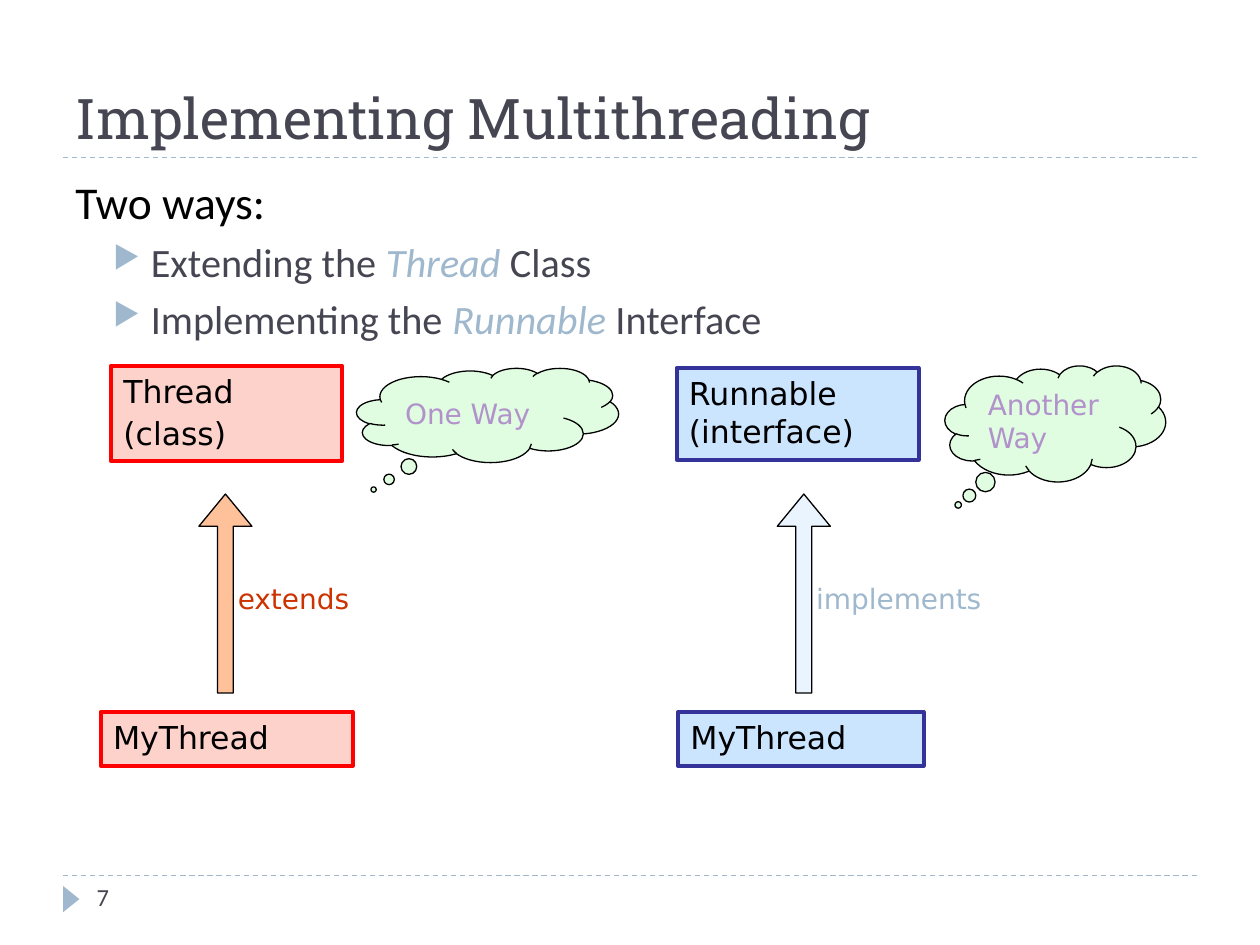
from lxml.etree import SubElement
from pptx import Presentation
from pptx.dml.color import RGBColor
from pptx.enum.dml import MSO_LINE
from pptx.enum.shapes import MSO_CONNECTOR, MSO_SHAPE
from pptx.enum.text import MSO_ANCHOR, PP_ALIGN
from pptx.oxml.ns import qn
from pptx.util import Cm, Pt

BLACK = RGBColor(0x00, 0x00, 0x00)
SLATE = RGBColor(0x46, 0x46, 0x53)
STEEL = RGBColor(0x9F, 0xB8, 0xCD)
RED = RGBColor(0xFF, 0x00, 0x00)
PINK = RGBColor(0xFD, 0xD2, 0xCB)
ORANGE = RGBColor(0xFF, 0x66, 0x00)
RUST = RGBColor(0xCC, 0x33, 0x00)
NAVY = RGBColor(0x33, 0x33, 0x99)
SKY = RGBColor(0x99, 0xCC, 0xFF)
MINT = RGBColor(0xE0, 0xFC, 0xE1)
LILAC = RGBColor(0xB2, 0x92, 0xCA)

HEADING_FONT = "Roboto Slab"
BODY_FONT = "Calibri"
DIAGRAM_FONT = "DejaVu Sans"


class SlideBuilder:
    def __init__(self, slide):
        self.slide = slide

    def run(self, paragraph, text, font, size, color, italic=False):
        run = paragraph.add_run()
        run.text = text
        run.font.name = font
        run.font.size = Pt(size)
        run.font.color.rgb = color
        run.font.italic = italic

    def text_box(self, left, top, width, height, anchor=MSO_ANCHOR.TOP):
        box = self.slide.shapes.add_textbox(Cm(left), Cm(top), Cm(width), Cm(height))
        frame = box.text_frame
        frame.word_wrap = True
        frame.vertical_anchor = anchor
        return frame

    def dashed_rule(self, top):
        rule = self.slide.shapes.add_connector(
            MSO_CONNECTOR.STRAIGHT, Cm(1.27), Cm(top), Cm(24.13), Cm(top))
        rule.line.color.rgb = STEEL
        rule.line.width = Pt(0.75)
        rule.line.dash_style = MSO_LINE.DASH
        SubElement(rule._element.spPr, qn("a:effectLst"))

    def shape(self, kind, left, top, width, height, fill, line=None,
              line_width=0.75, opacity=100, adjustments=()):
        shape = self.slide.shapes.add_shape(
            kind, Cm(left), Cm(top), Cm(width), Cm(height))
        shape.shadow.inherit = False
        for index, value in enumerate(adjustments):
            shape.adjustments[index] = value
        shape.fill.solid()
        shape.fill.fore_color.rgb = fill
        if opacity < 100:
            color = shape._element.spPr.find(qn("a:solidFill"))[0]
            SubElement(color, qn("a:alpha"), val=str(opacity * 1000))
        if line is None:
            shape.line.fill.background()
        else:
            shape.line.color.rgb = line
            shape.line.width = Pt(line_width)
        return shape

    def class_box(self, left, top, width, height, lines, fill, line, opacity=100):
        box = self.shape(MSO_SHAPE.RECTANGLE, left, top, width, height,
                         fill, line, 2.25, opacity)
        frame = box.text_frame
        frame.vertical_anchor = MSO_ANCHOR.TOP
        for index, text in enumerate(lines):
            paragraph = frame.add_paragraph() if index else frame.paragraphs[0]
            paragraph.alignment = PP_ALIGN.LEFT
            if index:
                paragraph.space_before = Pt(10)
                paragraph.line_spacing = 0.6
            self.run(paragraph, text, DIAGRAM_FONT, 18, BLACK)

    def cloud(self, left, top, width, height, text, tail):
        cloud = self.shape(MSO_SHAPE.CLOUD_CALLOUT, left, top, width, height,
                           MINT, BLACK, adjustments=tail)
        frame = cloud.text_frame
        frame.vertical_anchor = MSO_ANCHOR.MIDDLE
        paragraph = frame.paragraphs[0]
        paragraph.alignment = PP_ALIGN.LEFT
        self.run(paragraph, text, DIAGRAM_FONT, 16, LILAC)

    def labelled_arrow(self, left, text, color, fill, opacity):
        top, width, height = 9.96, 1.07, 4.01
        self.shape(MSO_SHAPE.UP_ARROW, left, top, width, height, fill, BLACK,
                   opacity=opacity, adjustments=(0.3, 0.608))
        frame = self.text_box(left + width / 2 + 0.25, top, 4, height + 0.2,
                              MSO_ANCHOR.MIDDLE)
        frame.margin_left = 0
        self.run(frame.paragraphs[0], text, DIAGRAM_FONT, 16, color)

    def bullet(self, frame, before, term, after):
        """Add a second-level paragraph with an arrow bullet and a stressed term."""
        paragraph = frame.add_paragraph()
        paragraph.level = 1
        paragraph.alignment = PP_ALIGN.JUSTIFY
        paragraph.space_before = Pt(5)
        properties = paragraph._p.get_or_add_pPr()
        properties.set("marL", str(Cm(1.52)))
        properties.set("indent", str(-Cm(0.76)))
        bullet_color = SubElement(properties, qn("a:buClr"))
        SubElement(bullet_color, qn("a:srgbClr"), val=str(STEEL))
        SubElement(properties, qn("a:buSzPct"), val="76000")
        SubElement(properties, qn("a:buChar"), char="▶")
        self.run(paragraph, before, BODY_FONT, 23, SLATE)
        self.run(paragraph, term, BODY_FONT, 23, STEEL, italic=True)
        self.run(paragraph, after, BODY_FONT, 23, SLATE)


def main():
    presentation = Presentation()
    presentation.slide_width = Cm(25.4)
    presentation.slide_height = Cm(19.05)
    slide = presentation.slides.add_slide(presentation.slide_layouts[6])
    builder = SlideBuilder(slide)

    for top in (17.65, 3.18):
        builder.dashed_rule(top)
    marker = builder.shape(MSO_SHAPE.ISOSCELES_TRIANGLE, 1.17, 17.96, 0.53, 0.33, STEEL)
    marker.rotation = 90
    number = builder.text_box(1.7, 17.65, 5.51, 1.02)
    builder.run(number.paragraphs[0], "7", BODY_FONT, 14, SLATE)

    title = builder.text_box(1.27, 0.43, 22.86, 2.74, MSO_ANCHOR.BOTTOM)
    builder.run(title.paragraphs[0], "Implementing Multithreading",
                HEADING_FONT, 32, SLATE)

    body = builder.text_box(1.27, 3.38, 22.86, 5)
    introduction = body.paragraphs[0]
    introduction.alignment = PP_ALIGN.JUSTIFY
    introduction.space_before = Pt(6)
    builder.run(introduction, "Two ways:", BODY_FONT, 26, BLACK)
    builder.bullet(body, "Extending the ", "Thread", " Class")
    builder.bullet(body, "Implementing the ", "Runnable", " Interface")

    builder.class_box(2.24, 7.37, 4.65, 1.93, ["Thread", "(class)"], PINK, RED)
    builder.class_box(2.03, 14.35, 5.08, 1.09, ["MyThread"], PINK, RED)
    builder.class_box(13.64, 7.42, 4.88, 1.85, ["Runnable (interface)"], SKY, NAVY, 50)
    builder.class_box(13.67, 14.35, 4.95, 1.09, ["MyThread"], SKY, NAVY, 50)

    builder.labelled_arrow(4.01, "extends", RUST, ORANGE, 40)
    builder.labelled_arrow(15.67, "implements", STEEL, SKY, 20)

    builder.cloud(7.19, 7.42, 5.28, 1.9, "One Way", (-0.435, 0.789))
    builder.cloud(19.05, 7.37, 4.45, 2.34, "Another Way", (-0.44, 0.701))

    presentation.save("out.pptx")


if __name__ == "__main__":
    main()
